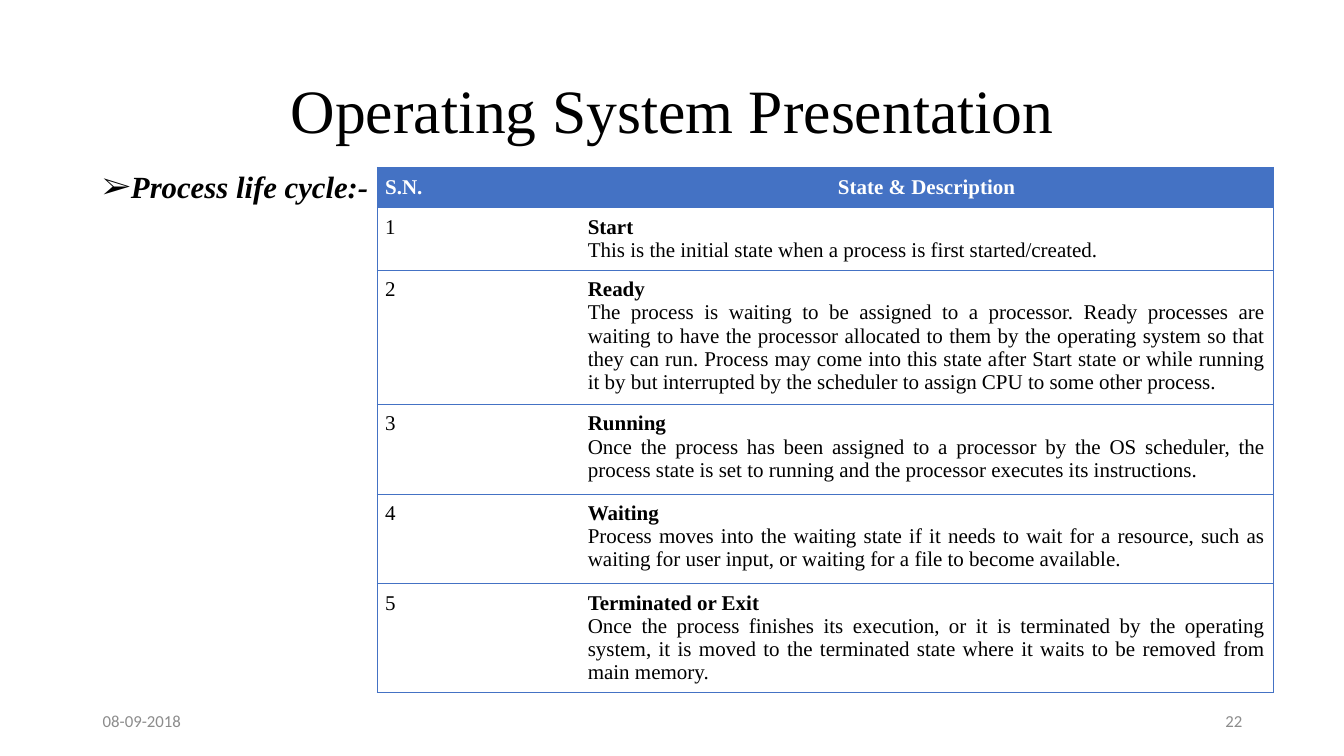
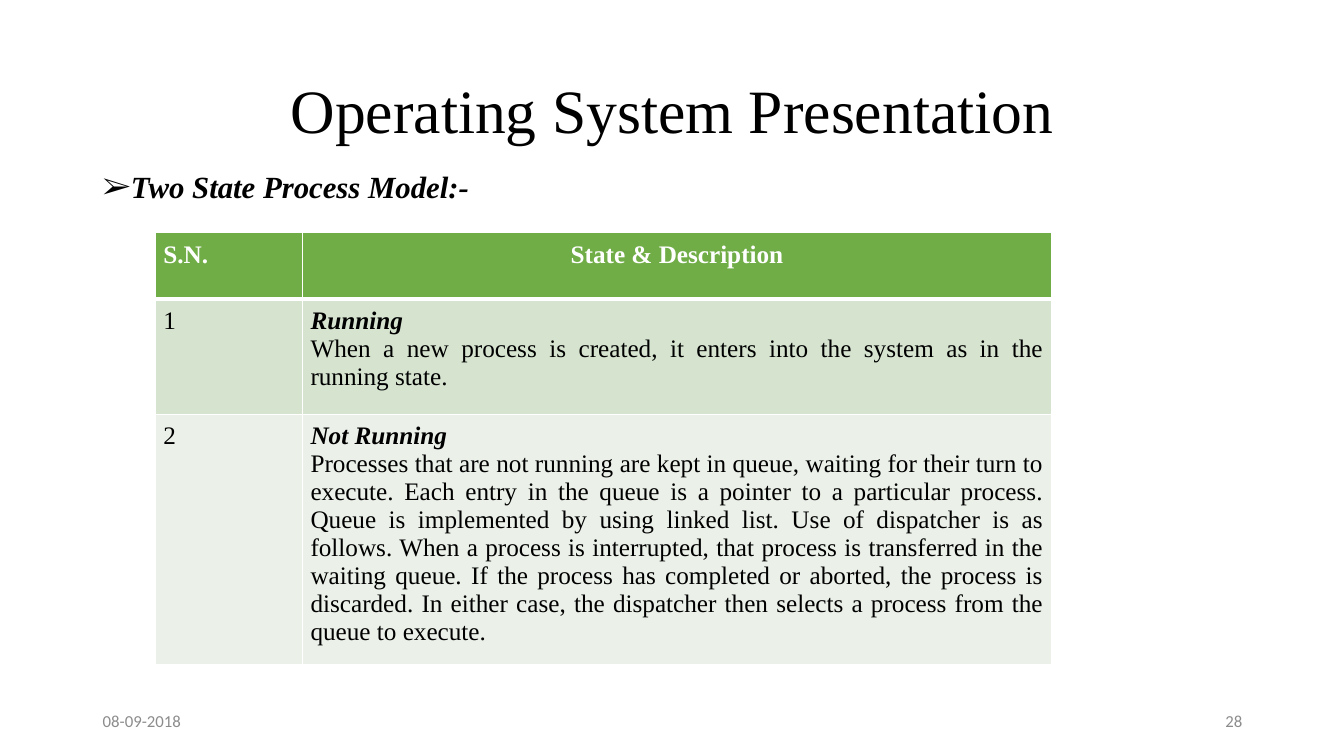
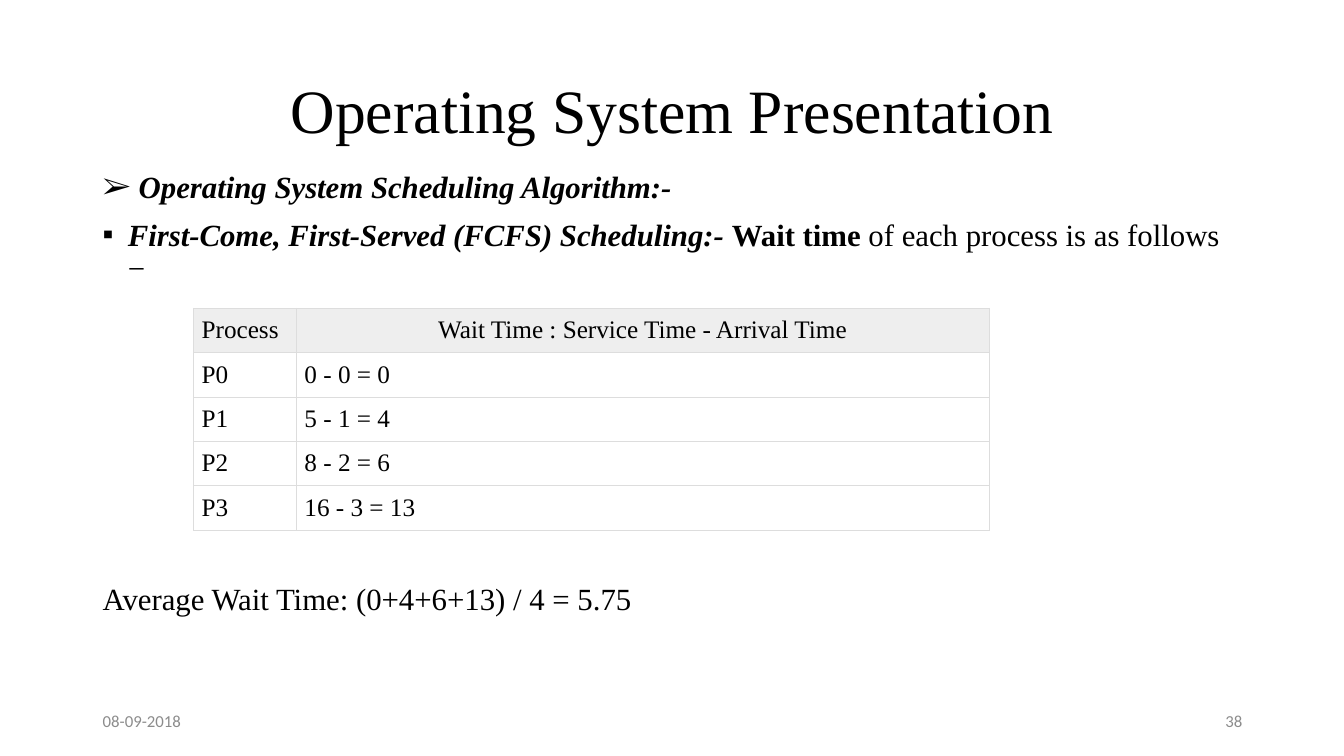
from lxml import etree
from pptx import Presentation
from pptx.dml.color import RGBColor
from pptx.enum.text import MSO_ANCHOR as Anchor, PP_ALIGN as Align
from pptx.oxml.ns import qn
from pptx.util import Inches, Pt

SERIF, SANS = "Times New Roman", "Calibri"
BLACK, WHITE, GREY = "000000", "FFFFFF", "8C8C8C"
BLUE, GREEN = "4472C4", "70AD47"
WIDTH, HEIGHT = 13.33, 7.5
MARGIN, CONTENT_WIDTH, FOOTER_WIDTH = 0.92, 11.5, 3
CELL_INSET = 0.08
TITLE, DATE = "Operating System Presentation", "08-09-2018"

LIFE_CYCLE = {
    "number": "22",
    "body": [{"bullet": "➢", "runs": [("Process life cycle:-", "bi")]}],
    "table": {
        "at": (3.74, 1.66), "columns": (2.01, 6.88),
        "heights": (0.4, 0.62, 1.32, 0.89, 0.89, 1.08),
        "size": 15, "header_color": WHITE, "header_style": "b", "name_style": "b",
        "fills": (BLUE,) + (None,) * 5,
        "border": (BLUE, 0.5), "header_rule": 0.5, "column_rules": False,
        "header": ("S.N.", "State & Description"),
        "rows": [
            ("1", "Start", "This is the initial state when a process is first started/created."),
            ("2", "Ready", "The process is waiting to be assigned to a processor. Ready processes are "
             "waiting to have the processor allocated to them by the operating system so that they can "
             "run. Process may come into this state after Start state or while running it by but "
             "interrupted by the scheduler to assign CPU to some other process."),
            ("3", "Running", "Once the process has been assigned to a processor by the OS scheduler, the "
             "process state is set to running and the processor executes its instructions."),
            ("4", "Waiting", "Process moves into the waiting state if it needs to wait for a resource, "
             "such as waiting for user input, or waiting for a file to become available."),
            ("5", "Terminated or Exit", "Once the process finishes its execution, or it is terminated by "
             "the operating system, it is moved to the terminated state where it waits to be removed "
             "from main memory."),
        ],
    },
}

TWO_STATES = {
    "number": "28",
    "body": [{"bullet": "➢", "runs": [("Two State Process Model:-", "bi")]}],
    "table": {
        "at": (1.54, 2.31), "columns": (1.46, 7.43), "heights": (0.66, 1.14, 2.37),
        "size": 18, "header_color": WHITE, "header_style": "b", "name_style": "bi",
        "fills": (GREEN, "D5E3CF", "EBF1E9"),
        "border": (WHITE, 1), "header_rule": 3, "column_rules": True,
        "header": ("S.N.", "State & Description"),
        "rows": [
            ("1", "Running", "When a new process is created, it enters into the system as in the "
             "running state."),
            ("2", "Not Running", "Processes that are not running are kept in queue, waiting for their "
             "turn to execute. Each entry in the queue is a pointer to a particular process. Queue is "
             "implemented by using linked list. Use of dispatcher is as follows. When a process is "
             "interrupted, that process is transferred in the waiting queue. If the process has "
             "completed or aborted, the process is discarded. In either case, the dispatcher then "
             "selects a process from the queue to execute."),
        ],
    },
}

SCHEDULING = {
    "number": "38",
    "body": [
        {"bullet": "➢", "runs": [(" Operating System Scheduling Algorithm:-", "bi")]},
        {"bullet": "▪", "runs": [("First-Come, First-Served (FCFS) Scheduling:- ", "bi"),
                                 ("Wait time", "b"), (" of each process is as follows −", "")]},
        {"before": 213, "runs": [("Average Wait Time: (0+4+6+13) / 4 = 5.75", "")]},
    ],
    "table": {
        "at": (1.92, 3.06), "columns": (1.02, 6.87), "heights": (0.44,) * 5,
        "size": 18, "header_color": BLACK, "header_style": "", "name_style": "",
        "fills": ("EEEEEE",) + (None,) * 4,
        "border": ("DDDDDD", 0.75), "header_rule": 0.75, "column_rules": True,
        "header": ("Process", "Wait Time : Service Time - Arrival Time"),
        "rows": [("P0", "0 - 0 = 0"), ("P1", "5 - 1 = 4"), ("P2", "8 - 2 = 6"), ("P3", "16 - 3 = 13")],
    },
}


def rgb(color):
    return RGBColor.from_string(color)


def set_style(font, style):
    font.bold, font.italic = "b" in style, "i" in style


def write(paragraph, runs, size, color=BLACK, face=SERIF, align=Align.LEFT):
    paragraph.alignment = align
    font = paragraph.font
    font.name, font.size, font.color.rgb = face, Pt(size), rgb(color)
    if len(runs) == 1:
        set_style(font, runs[0][1])
    for text, style in runs:
        run = paragraph.add_run()
        run.text = text
        if len(runs) > 1:
            set_style(run.font, style)


def add_frame(slide, left, top, width, height, anchor=Anchor.MIDDLE):
    frame = slide.shapes.add_textbox(*map(Inches, (left, top, width, height))).text_frame
    frame.word_wrap = True
    frame.vertical_anchor = anchor
    return frame


def next_paragraph(frame, index):
    return frame.add_paragraph() if index else frame.paragraphs[0]


def add_bullet(paragraph, mark):
    properties = paragraph._p.get_or_add_pPr()
    properties.set("marL", str(Inches(0.25)))
    properties.set("indent", str(-Inches(0.25)))
    defaults = properties.find(qn("a:defRPr"))
    defaults.addprevious(etree.Element(qn("a:buFont"), typeface=SERIF))
    defaults.addprevious(etree.Element(qn("a:buChar"), char=mark))


def add_body(slide, items):
    frame = add_frame(slide, MARGIN, 1.66, CONTENT_WIDTH, 4.76, Anchor.TOP)
    for index, item in enumerate(items):
        paragraph = next_paragraph(frame, index)
        write(paragraph, item["runs"], 22)
        paragraph.line_spacing = 0.9
        paragraph.space_before = Pt(item.get("before", 10))
        if "bullet" in item:
            add_bullet(paragraph, item["bullet"])


def set_borders(cell, color, widths):
    properties = cell._tc.get_or_add_tcPr()
    for index, (side, width) in enumerate(zip("LRTB", widths)):
        line = etree.Element(qn(f"a:ln{side}"), w=str(Pt(width)))
        if width:
            fill = etree.SubElement(line, qn("a:solidFill"))
            etree.SubElement(fill, qn("a:srgbClr"), val=color)
        else:
            etree.SubElement(line, qn("a:noFill"))
        properties.insert(index, line)


def add_state_table(slide, data):
    columns, heights = data["columns"], data["heights"]
    table = slide.shapes.add_table(
        len(heights), len(columns),
        *map(Inches, (*data["at"], sum(columns), sum(heights)))).table
    for column, width in zip(table.columns, columns):
        column.width = Inches(width)
    color, thin = data["border"]
    inner = thin if data["column_rules"] else 0
    for r, (height, fill, entry) in enumerate(zip(heights, data["fills"], [data["header"], *data["rows"]])):
        table.rows[r].height = Inches(height)
        top = data["header_rule"] if r == 1 else thin
        bottom = data["header_rule"] if r == 0 else thin
        for c, texts in enumerate((entry[:1], entry[1:])):
            cell = table.cell(r, c)
            cell.margin_left = cell.margin_right = cell.margin_top = Inches(CELL_INSET)
            cell.margin_bottom = 0
            if fill:
                cell.fill.solid()
                cell.fill.fore_color.rgb = rgb(fill)
            else:
                cell.fill.background()
            set_borders(cell, color, (inner if c else thin, thin if c else inner, top, bottom))
            for index, text in enumerate(texts):
                named = len(texts) > 1
                style = data["header_style"] if r == 0 else data["name_style"] if named and index == 0 else ""
                align = Align.CENTER if r == 0 and c else Align.JUSTIFY if named else Align.LEFT
                paragraph = next_paragraph(cell.text_frame, index)
                write(paragraph, [(text, style)], data["size"],
                      BLACK if r else data["header_color"], align=align)
                paragraph.runs[0].font.name = SERIF


def add_title_and_footer(slide, number):
    heading = add_frame(slide, MARGIN, 0.4, CONTENT_WIDTH, 1.45).paragraphs[0]
    write(heading, [(TITLE, "")], 44, align=Align.CENTER)
    heading.line_spacing = 0.9
    number_left = MARGIN + CONTENT_WIDTH - FOOTER_WIDTH
    for left, text, align in ((MARGIN, DATE, Align.LEFT), (number_left, number, Align.RIGHT)):
        footer = add_frame(slide, left, 6.95, FOOTER_WIDTH, 0.4).paragraphs[0]
        write(footer, [(text, "")], 12, GREY, SANS, align)


def main():
    deck = Presentation()
    deck.slide_width, deck.slide_height = Inches(WIDTH), Inches(HEIGHT)
    for content in (LIFE_CYCLE, TWO_STATES, SCHEDULING):
        slide = deck.slides.add_slide(deck.slide_layouts[6])
        add_title_and_footer(slide, content["number"])
        add_body(slide, content["body"])
        add_state_table(slide, content["table"])
    deck.save("out.pptx")


if __name__ == "__main__":
    main()
